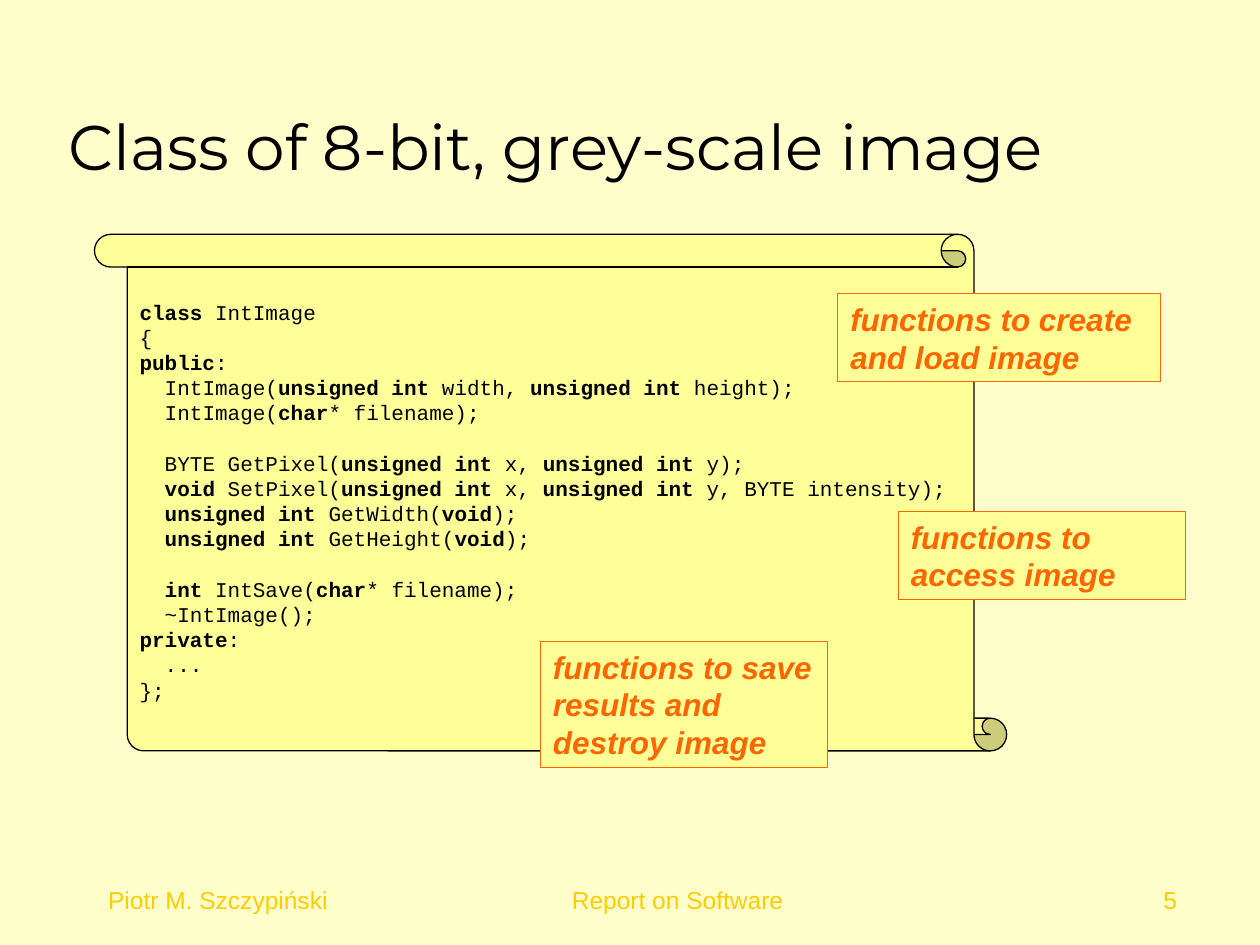
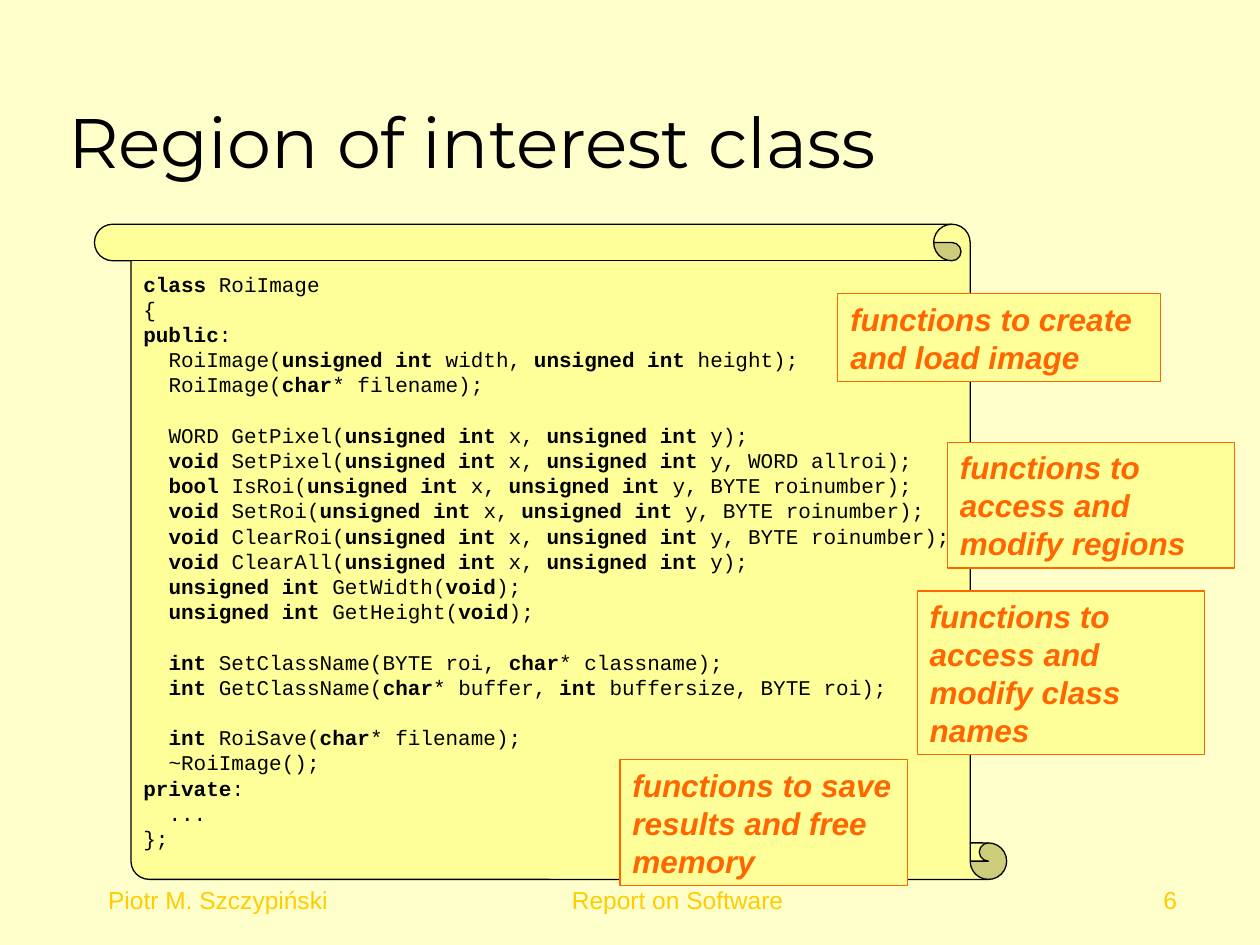
from pptx import Presentation
from pptx.dml.color import RGBColor
from pptx.enum.shapes import MSO_SHAPE
from pptx.enum.text import MSO_ANCHOR, MSO_AUTO_SIZE, PP_ALIGN
from pptx.util import Inches, Pt

SCROLL, RECT = MSO_SHAPE.VERTICAL_SCROLL, MSO_SHAPE.RECTANGLE
TOP, MIDDLE, BOTTOM = MSO_ANCHOR.TOP, MSO_ANCHOR.MIDDLE, MSO_ANCHOR.BOTTOM
LEFT, RIGHT = PP_ALIGN.LEFT, PP_ALIGN.RIGHT
FIXED = MSO_AUTO_SIZE.NONE

CREAM, YELLOW, ORANGE, GOLD, BLACK = "FFFFCC", "FFFF99", "FF6600", "FFCC00", "000000"
HEAD, BODY, CODE = "Montserrat", "Arial", "Courier New"
LEAD = 1.2  # line height as a multiple of the text size
CODE_SIZE, NOTE_SIZE = 12, 18

# Backticks enclose bold words.
INT_CODE = """\
`class` IntImage
{
`public`:
  IntImage(`unsigned int` width, `unsigned int` height);
  IntImage(`char`* filename);

  BYTE GetPixel(`unsigned int` x, `unsigned int` y);
  `void` SetPixel(`unsigned int` x, `unsigned int` y, BYTE intensity);
  `unsigned int` GetWidth(`void`);
  `unsigned int` GetHeight(`void`);

  `int` IntSave(`char`* filename);
  ~IntImage();
`private`:
  ...
};"""

ROI_CODE = """\
`class` RoiImage
{
`public`:
  RoiImage(`unsigned int` width, `unsigned int` height);
  RoiImage(`char`* filename);

  WORD GetPixel(`unsigned int` x, `unsigned int` y);
  `void` SetPixel(`unsigned int` x, `unsigned int` y, WORD allroi);
  `bool` IsRoi(`unsigned int` x, `unsigned int` y, BYTE roinumber);
  `void` SetRoi(`unsigned int` x, `unsigned int` y, BYTE roinumber);
  `void` ClearRoi(`unsigned int` x, `unsigned int` y, BYTE roinumber);
  `void` ClearAll(`unsigned int` x, `unsigned int` y);
  `unsigned int` GetWidth(`void`);
  `unsigned int` GetHeight(`void`);

  `int` SetClassName(BYTE roi, `char`* classname);
  `int` GetClassName(`char`* buffer, `int` buffersize, BYTE roi);

  `int` RoiSave(`char`* filename);
  ~RoiImage();
`private`:
  ...
};"""

# Each note: left, top, width, number of lines, text
LOAD_NOTE = (6.65, 2.33, 2.56, 2, "functions to create and load image")
INT_NOTES = [
    LOAD_NOTE,
    (7.13, 4.06, 2.28, 2, "functions to access image"),
    (4.29, 5.09, 2.28, 3, "functions to save results and destroy image"),
]
ROI_NOTES = [
    LOAD_NOTE,
    (7.52, 3.51, 2.28, 3, "functions to access and modify regions"),
    (4.92, 6.03, 2.28, 3, "functions to save results and free memory"),
    (7.28, 4.69, 2.28, 4, "functions to access and modify class names"),
]


def color(code):
    return RGBColor.from_string(code)


def add_run(para, text, font, size, tint, bold=False, italic=False):
    run = para.add_run()
    run.text = text
    run.font.name, run.font.size = font, Pt(size)
    run.font.bold, run.font.italic = bold, italic
    run.font.color.rgb = color(tint)


def set_frame(shape, anchor):
    frame = shape.text_frame
    frame.word_wrap = True
    frame.auto_size = FIXED
    frame.vertical_anchor = anchor
    return frame


def add_panel(slide, kind, left, top, width, height, edge):
    panel = slide.shapes.add_shape(
        kind, Inches(left), Inches(top), Inches(width), Inches(height))
    panel.shadow.inherit = False
    panel.fill.solid()
    panel.fill.fore_color.rgb = color(YELLOW)
    panel.line.color.rgb = color(edge)
    panel.line.width = Pt(0.75)
    return panel


def add_title(slide, text, size):
    title = slide.shapes.title
    title.left, title.top = Inches(0.44), Inches(0.25)
    title.width, title.height = Inches(9.52), Inches(1.25)
    para = set_frame(title, BOTTOM).paragraphs[0]
    para.alignment = LEFT
    add_run(para, text, HEAD, size, BLACK)


def add_code(slide, code, top, height, roll):
    """Draw a scroll with rolls of the given size, holding a code listing."""
    scroll = add_panel(slide, SCROLL, 0.75, top, 7.24, height, BLACK)
    scroll.adjustments[0] = roll / height
    scroll.element.spPr.xfrm.set("flipH", "1")
    frame = set_frame(scroll, MIDDLE)
    para, gap = frame.paragraphs[0], False
    for i, line in enumerate(code.splitlines()):
        if not line:
            gap = True
            continue
        if i:
            para = frame.add_paragraph()
        para.alignment = LEFT
        para.line_spacing = Pt(CODE_SIZE * LEAD)
        if gap:
            para.space_before = Pt(CODE_SIZE * LEAD)
            gap = False
        if line.startswith("  "):
            props = para._p.get_or_add_pPr()
            props.set("marL", str(Inches(0.2)))
            props.set("indent", "0")
        for j, part in enumerate(line.strip().split("`")):
            if part:
                add_run(para, part, CODE, CODE_SIZE, BLACK, bold=j % 2 == 1)


def add_note(slide, left, top, width, lines, text):
    height = 0.1 + lines * NOTE_SIZE * LEAD / 72
    note = add_panel(slide, RECT, left, top, width, height, ORANGE)
    para = set_frame(note, TOP).paragraphs[0]
    para.alignment = LEFT
    para.line_spacing = Pt(NOTE_SIZE * LEAD)
    add_run(para, text, BODY, NOTE_SIZE, ORANGE, bold=True, italic=True)


def add_footer(slide, page):
    for left, width, text, align in (
        (0.76, 2.5, "Piotr M. Szczypiński", LEFT),
        (4.44, 2.14, "Report on Software", LEFT),
        (7.36, 2.08, str(page), RIGHT),
    ):
        box = slide.shapes.add_textbox(
            Inches(left), Inches(6.81), Inches(width), Inches(0.5))
        para = set_frame(box, BOTTOM).paragraphs[0]
        para.alignment = align
        add_run(para, text, BODY, 14, GOLD)


def add_page(deck, page, title, size, listing, notes):
    slide = deck.slides.add_slide(deck.slide_layouts[5])
    add_title(slide, title, size)
    add_code(slide, *listing)
    for note in notes:
        add_note(slide, *note)
    add_footer(slide, page)


def main():
    deck = Presentation()
    deck.slide_width, deck.slide_height = Inches(10), Inches(7.5)
    back = deck.slide_master.background.fill
    back.solid()
    back.fore_color.rgb = color(CREAM)
    add_page(deck, 5, "Class of 8-bit, grey-scale image", 36,
             (INT_CODE, 1.86, 4.1, 0.26), INT_NOTES)
    add_page(deck, 6, "Region of interest class", 40,
             (ROI_CODE, 1.78, 5.2, 0.29), ROI_NOTES)
    deck.save("out.pptx")


if __name__ == "__main__":
    main()
